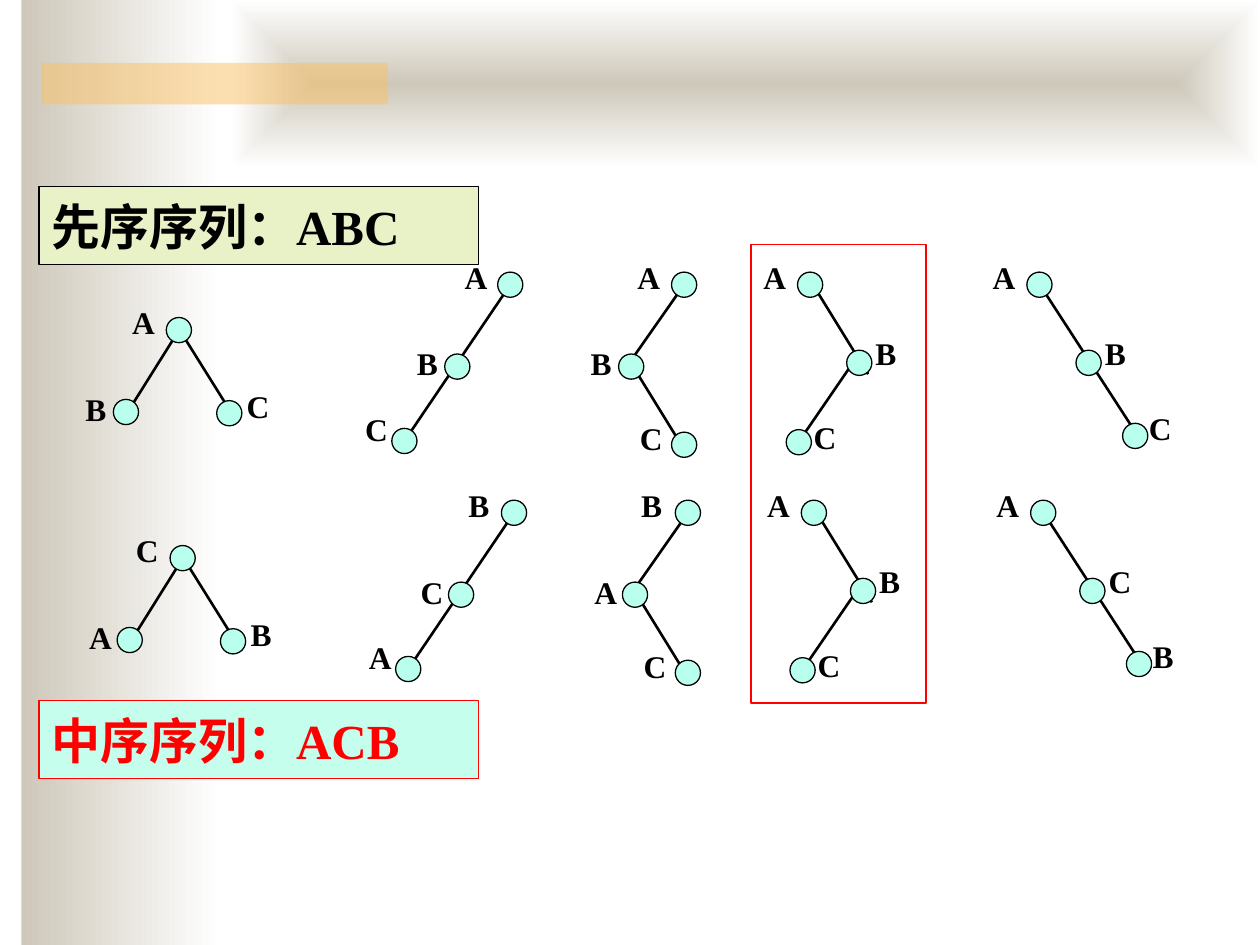
"""Build a slide of five binary trees labelled by preorder and by inorder sequence."""
from lxml import etree
from pptx import Presentation
from pptx.dml.color import RGBColor
from pptx.enum.shapes import MSO_CONNECTOR, MSO_SHAPE
from pptx.enum.text import MSO_ANCHOR, PP_ALIGN
from pptx.oxml.ns import qn
from pptx.util import Inches, Pt

RECT, OVAL = MSO_SHAPE.RECTANGLE, MSO_SHAPE.OVAL
STRAIGHT = MSO_CONNECTOR.STRAIGHT
MIDDLE, JUSTIFY = MSO_ANCHOR.MIDDLE, PP_ALIGN.JUSTIFY

THEME = {
    "sand": RGBColor.from_string("CEC8BA"),
    "white": RGBColor.from_string("FFFFFF"),
    "amber": RGBColor.from_string("FAC164"),
    "node": RGBColor.from_string("B9FFED"),
    "black": RGBColor.from_string("000000"),
    "red": RGBColor.from_string("FF0000"),
    "preorder": RGBColor.from_string("E9F1C7"),
    "inorder": RGBColor.from_string("C6FEEE"),
    "font": "Times New Roman",
    "label": Pt(18),
    "banner": Pt(28),
    "edge": Pt(1.5),
    "outline": Pt(0.75),
}


def add_box(kind, x, y, w, h, fill=None, line=None):
    sp = s.shapes.add_shape(kind, Inches(x), Inches(y), Inches(w), Inches(h))
    sp.shadow.inherit = False
    if fill is None:
        sp.fill.background()
    else:
        sp.fill.solid()
        sp.fill.fore_color.rgb = fill
    if line is None:
        sp.line.fill.background()
    else:
        sp.line.color.rgb = line
        sp.line.width = THEME["outline"]
    return sp


def write(p, text, size, color):
    r = p.add_run()
    r.text = text
    for name, value in {"name": THEME["font"], "size": size, "bold": True}.items():
        setattr(r.font, name, value)
    r.font.color.rgb = color


prs = Presentation()
prs.slide_width, prs.slide_height = Inches(10), Inches(7.5)
s = prs.slides.add_slide(prs.slide_layouts[6])

side_band = add_box(RECT, 0.17, 0, 1.58, 7.5)
top_band = add_box(RECT, 1.83, 0, 8.17, 1.33)
for band in (side_band, top_band):
    band.fill.gradient()
    band.fill.gradient_angle = 0
    for stop, color, position in zip(band.fill.gradient_stops, ("sand", "white"), (0, 1)):
        stop.color.rgb = THEME[color]
        stop.position = position
grad = top_band._element.spPr.find(qn("a:gradFill"))
grad.remove(grad.find(qn("a:lin")))
shade = etree.SubElement(grad, qn("a:path"), {"path": "shape"})
etree.SubElement(shade, qn("a:fillToRect"), dict.fromkeys("ltrb", "50000"))

accent = add_box(RECT, 0.33, 0.5, 2.75, 0.33, THEME["amber"])
amber = accent._element.spPr.find(qn("a:solidFill"))[0]
etree.SubElement(amber, qn("a:alpha"), {"val": "50000"})

NODE = 0.2
LABEL_W, LABEL_H = 0.5, 0.53
trees = [
    {"edges": [(1.42, 2.61, 1.87, 3.33), (1.44, 2.59, 0.97, 3.34)],
     "nodes": [(1.32, 2.52), (0.9, 3.17), (1.72, 3.18)],
     "labels": [(0.95, 2.31), (0.58, 3), (1.86, 2.98)]},
    {"edges": [(4.07, 2.23, 3.21, 3.5)],
     "nodes": [(3.95, 2.16), (3.53, 2.81), (3.11, 3.4)],
     "labels": [(3.59, 1.95), (3.21, 2.64), (2.8, 3.16)]},
    {"edges": [(5, 2.87, 5.45, 3.6), (5.45, 2.23, 4.96, 2.93)],
     "nodes": [(5.33, 2.16), (4.91, 2.81), (5.33, 3.43)],
     "labels": [(4.96, 1.95), (4.59, 2.64), (4.98, 3.23)]},
    {"edges": [(6.44, 2.24, 6.89, 2.97), (6.81, 2.82, 6.33, 3.52)],
     "nodes": [(6.33, 2.16), (6.72, 2.78), (6.24, 3.41)],
     "labels": [(5.96, 1.95), (6.85, 2.56), (6.36, 3.22)]},
    {"edges": [(8.24, 2.24, 9.07, 3.52)],
     "nodes": [(8.15, 2.16), (8.54, 2.78), (8.91, 3.36)],
     "labels": [(7.78, 1.95), (8.67, 2.56), (9.02, 3.15)]},
]
rows = [
    {"dx": 0, "dy": 0, "letters": ["ABC"] * 5, "title": "先序序列：ABC",
     "top": 1.48, "fill": "preorder", "ink": "black"},
    {"dx": 0.03, "dy": 1.81, "letters": ["CAB", "BCA", "BAC", "ABC", "ACB"],
     "title": "中序序列：ACB", "top": 5.56, "fill": "inorder", "ink": "red"},
]

for row in rows:
    dx, dy = row["dx"], row["dy"]
    for tree, letters in zip(trees, row["letters"]):
        for x1, y1, x2, y2 in tree["edges"]:
            edge = s.shapes.add_connector(STRAIGHT, Inches(x1 + dx), Inches(y1 + dy),
                                          Inches(x2 + dx), Inches(y2 + dy))
            edge.line.color.rgb = THEME["black"]
            edge.line.width = THEME["edge"]
            etree.SubElement(edge._element.spPr, qn("a:effectLst"))
        for x, y in tree["nodes"]:
            add_box(OVAL, x + dx, y + dy, NODE, NODE, THEME["node"], THEME["black"])
        for letter, (x, y) in zip(letters, tree["labels"]):
            label = s.shapes.add_textbox(Inches(x + dx), Inches(y + dy),
                                         Inches(LABEL_W), Inches(LABEL_H))
            tf = label.text_frame
            tf.word_wrap = True
            p = tf.paragraphs[0]
            p.alignment, p.line_spacing = JUSTIFY, 1.15
            write(p, letter, THEME["label"], THEME["black"])
    ink = THEME[row["ink"]]
    banner = add_box(RECT, 0.31, row["top"], 3.49, 0.62, THEME[row["fill"]], ink)
    tf = banner.text_frame
    tf.word_wrap, tf.vertical_anchor = True, MIDDLE
    p = tf.paragraphs[0]
    p.alignment = PP_ALIGN.LEFT
    write(p, row["title"], THEME["banner"], ink)

add_box(RECT, 5.96, 1.94, 1.39, 3.64, line=THEME["red"])

prs.save("out.pptx")
